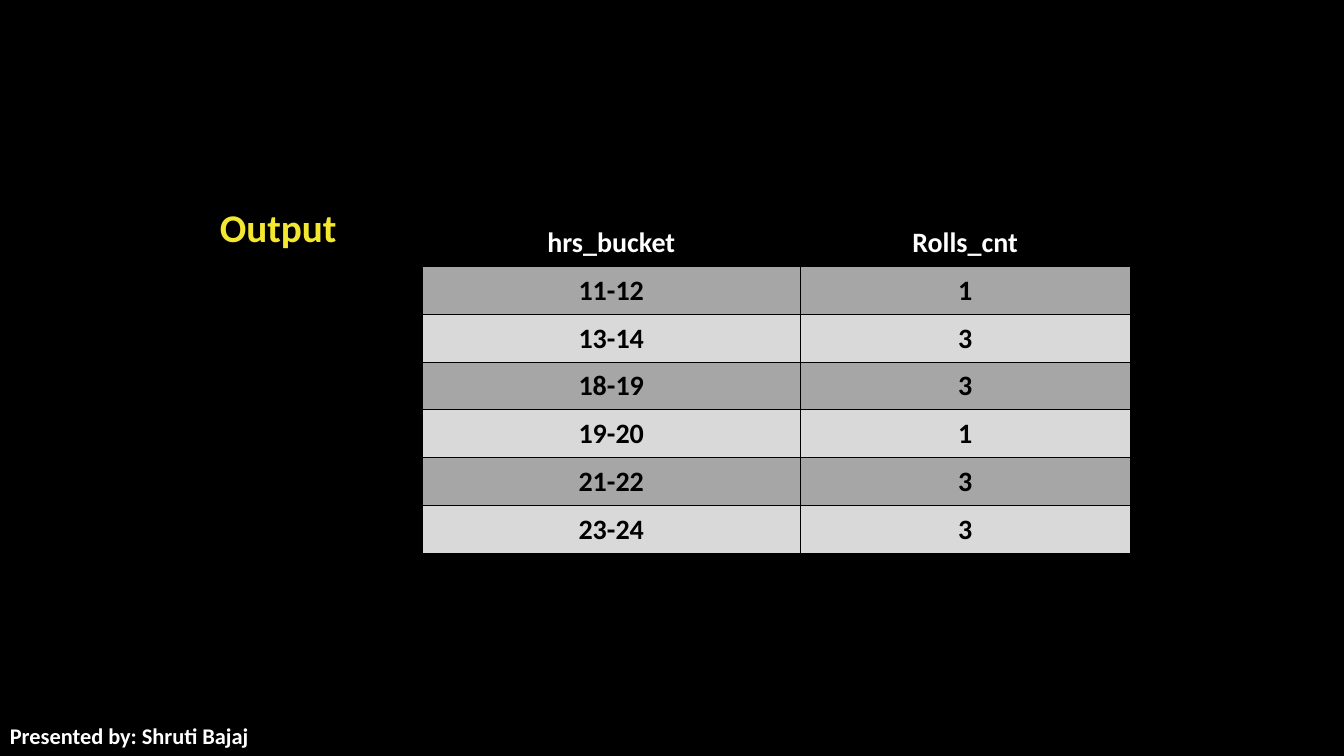
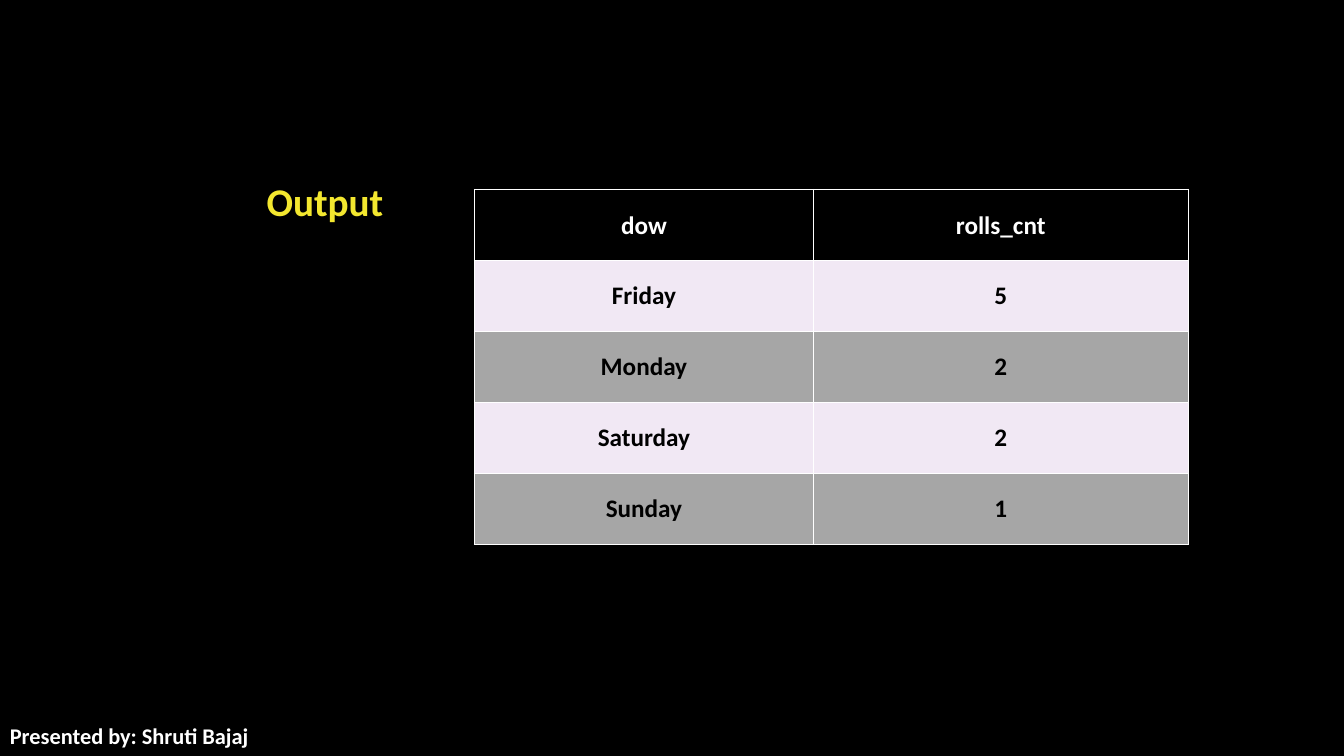
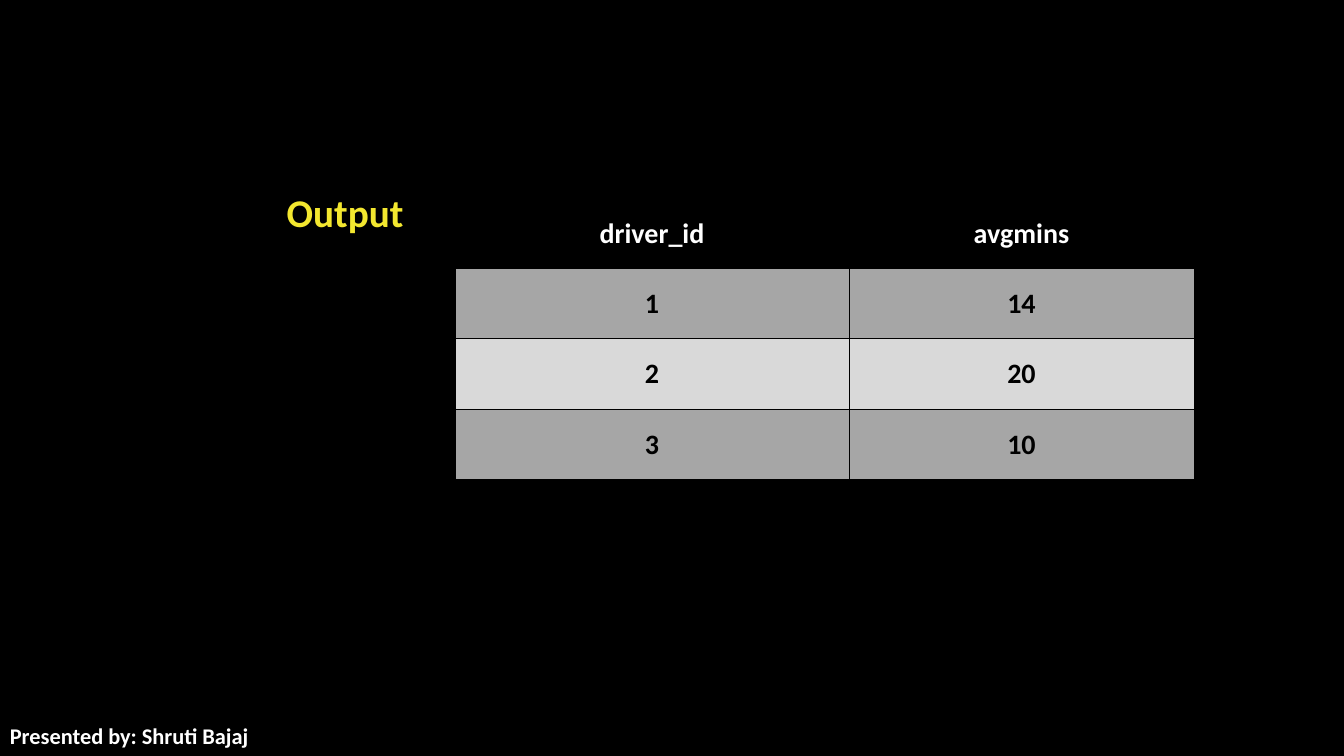
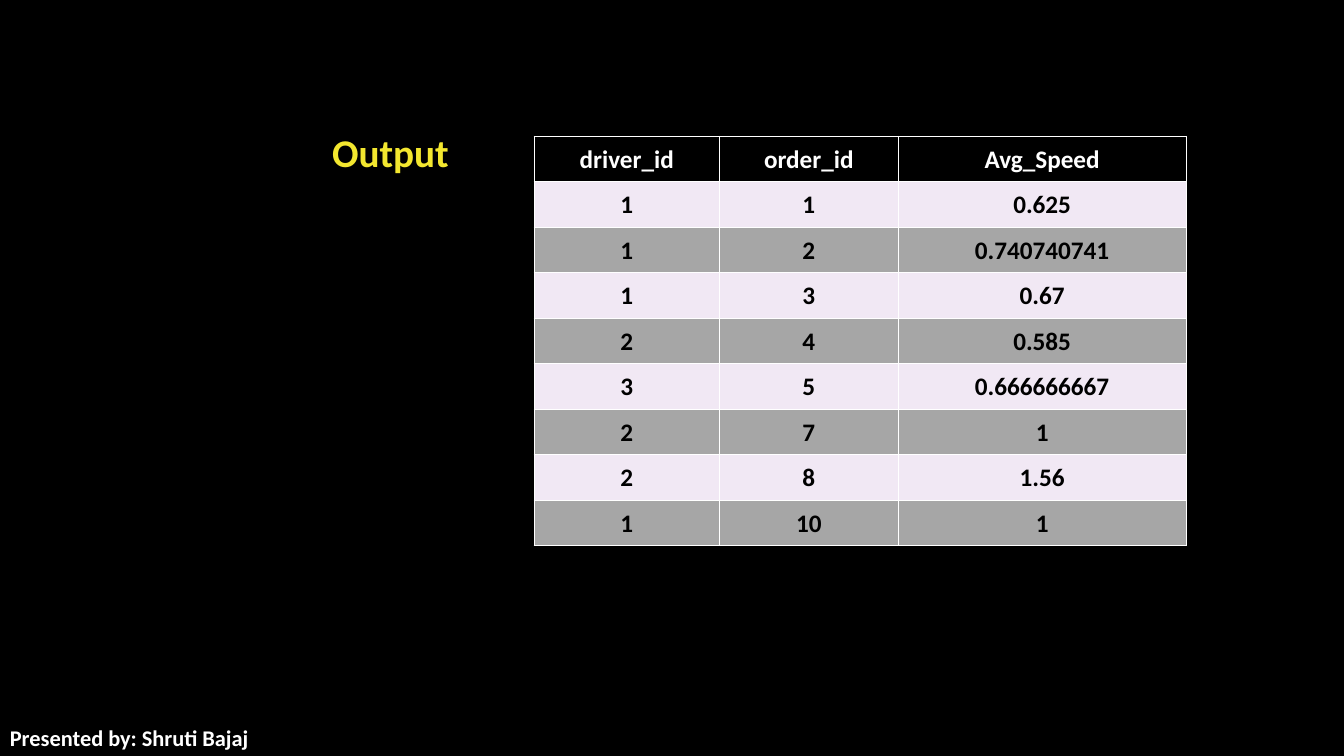
"""Build four query output slides, each a heading beside a result table."""
import dataclasses

import pptx
import pptx.dml.color
import pptx.enum.text
import pptx.oxml
import pptx.oxml.ns
import pptx.util
from lxml import etree

Pt = pptx.util.Pt
Align = pptx.enum.text.PP_ALIGN
Anchor = pptx.enum.text.MSO_ANCHOR


@dataclasses.dataclass(frozen=True)
class Theme:
    font: str = "Calibri"
    black: str = "000000"
    white: str = "FFFFFF"
    yellow: str = "F3E72F"
    grey: str = "A6A6A6"
    silver: str = "D9D9D9"
    lilac: str = "F1E8F4"
    heading_size: int = 28
    footer_size: int = 16


THEME = Theme()
DARK_GRID = {"bands": (THEME.grey, THEME.silver), "border": THEME.black,
             "border_width": 0.5, "size": 20}
LIGHT_GRID = {"bands": (THEME.lilac, THEME.grey), "border": THEME.white,
              "border_width": 1, "size": 18}

HEADING = "Output"
FOOTER = "Presented by: Shruti Bajaj"

RESULTS = [
    {"heading_box": (116.6, 140.4, 164.2, 43.9), "heading_align": Align.CENTER,
     "origin": (301.9, 156.2), "columns": (269.5, 236), "height": 239,
     "footer_top": 510.5, "style": DARK_GRID,
     "rows": [("hrs_bucket", "Rolls_cnt"), ("11-12", "1"), ("13-14", "3"),
              ("18-19", "3"), ("19-20", "1"), ("21-22", "3"), ("23-24", "3")]},
    {"heading_box": (110.9, 111.6, 169.9, 63.4), "heading_align": Align.RIGHT,
     "origin": (339, 135.3), "columns": (242, 267.7), "height": 253.5,
     "footer_top": 510.5, "style": LIGHT_GRID,
     "rows": [("dow", "rolls_cnt"), ("Friday", "5"), ("Monday", "2"),
              ("Saturday", "2"), ("Sunday", "1")]},
    {"heading_box": (113, 118.8, 182.2, 64.8), "heading_align": Align.RIGHT,
     "origin": (324.9, 141.6), "columns": (281.7, 246.2), "height": 200.8,
     "footer_top": 510.5, "style": DARK_GRID,
     "rows": [("driver_id", "avgmins"), ("1", "14"), ("2", "20"), ("3", "10")]},
    {"heading_box": (113, 76.3, 214.6, 64.8), "heading_align": Align.RIGHT,
     "origin": (381.6, 97.4), "columns": (132.3, 127.7, 205.7), "height": 292.6,
     "footer_top": 512, "style": LIGHT_GRID,
     "rows": [("driver_id", "order_id", "Avg_Speed"), ("1", "1", "0.625"),
              ("1", "2", "0.740740741"), ("1", "3", "0.67"), ("2", "4", "0.585"),
              ("3", "5", "0.666666667"), ("2", "7", "1"), ("2", "8", "1.56"),
              ("1", "10", "1")]},
]


def rgb(value):
    return pptx.dml.color.RGBColor.from_string(value)


def write(frame, text, size, color, align):
    paragraph = frame.paragraphs[0]
    paragraph.text = text
    paragraph.alignment = align
    font = paragraph.font
    font.name, font.size, font.bold = THEME.font, Pt(size), True
    font.color.rgb = rgb(color)


def add_label(slide, box, text, size, color, align):
    frame = slide.shapes.add_textbox(*map(Pt, box)).text_frame
    frame.word_wrap = True
    frame.vertical_anchor = Anchor.MIDDLE
    write(frame, text, size, color, align)


def add_borders(cell, color, width):
    properties = cell._tc.get_or_add_tcPr()
    for side in ("a:lnL", "a:lnR", "a:lnT", "a:lnB"):
        line = etree.SubElement(properties, pptx.oxml.ns.qn(side), w=str(Pt(width)))
        fill = etree.SubElement(line, pptx.oxml.ns.qn("a:solidFill"))
        etree.SubElement(fill, pptx.oxml.ns.qn("a:srgbClr"), val=color)


def add_result_table(slide, result):
    rows, columns, style = result["rows"], result["columns"], result["style"]
    box = (*result["origin"], sum(columns), result["height"])
    table = slide.shapes.add_table(len(rows), len(columns), *map(Pt, box)).table
    for column, width in zip(table.columns, columns):
        column.width = Pt(width)
    for row_index, values in enumerate(rows):
        table.rows[row_index].height = Pt(result["height"] / len(rows))
        is_header = row_index == 0
        band = THEME.black if is_header else style["bands"][(row_index - 1) % 2]
        ink = THEME.white if is_header else THEME.black
        for column_index, value in enumerate(values):
            cell = table.cell(row_index, column_index)
            cell.margin_left = cell.margin_right = cell.margin_top = Pt(0.7)
            cell.margin_bottom = Pt(0)
            cell.vertical_anchor = Anchor.MIDDLE
            add_borders(cell, style["border"], style["border_width"])
            cell.fill.solid()
            cell.fill.fore_color.rgb = rgb(band)
            write(cell.text_frame, value, style["size"], ink, Align.CENTER)


def add_result_slide(deck, result):
    slide = deck.slides.add_slide(deck.slide_layouts[6])
    slide.background.fill.solid()
    slide.background.fill.fore_color.rgb = rgb(THEME.black)
    add_label(slide, result["heading_box"], HEADING, THEME.heading_size,
              THEME.yellow, result["heading_align"])
    add_result_table(slide, result)
    add_label(slide, (0, result["footer_top"], 616.3, 29.5), FOOTER,
              THEME.footer_size, THEME.white, Align.LEFT)


def main():
    deck = pptx.Presentation()
    deck.slide_width, deck.slide_height = Pt(960), Pt(540)
    for result in RESULTS:
        add_result_slide(deck, result)
    deck.save("out.pptx")


if __name__ == "__main__":
    main()
